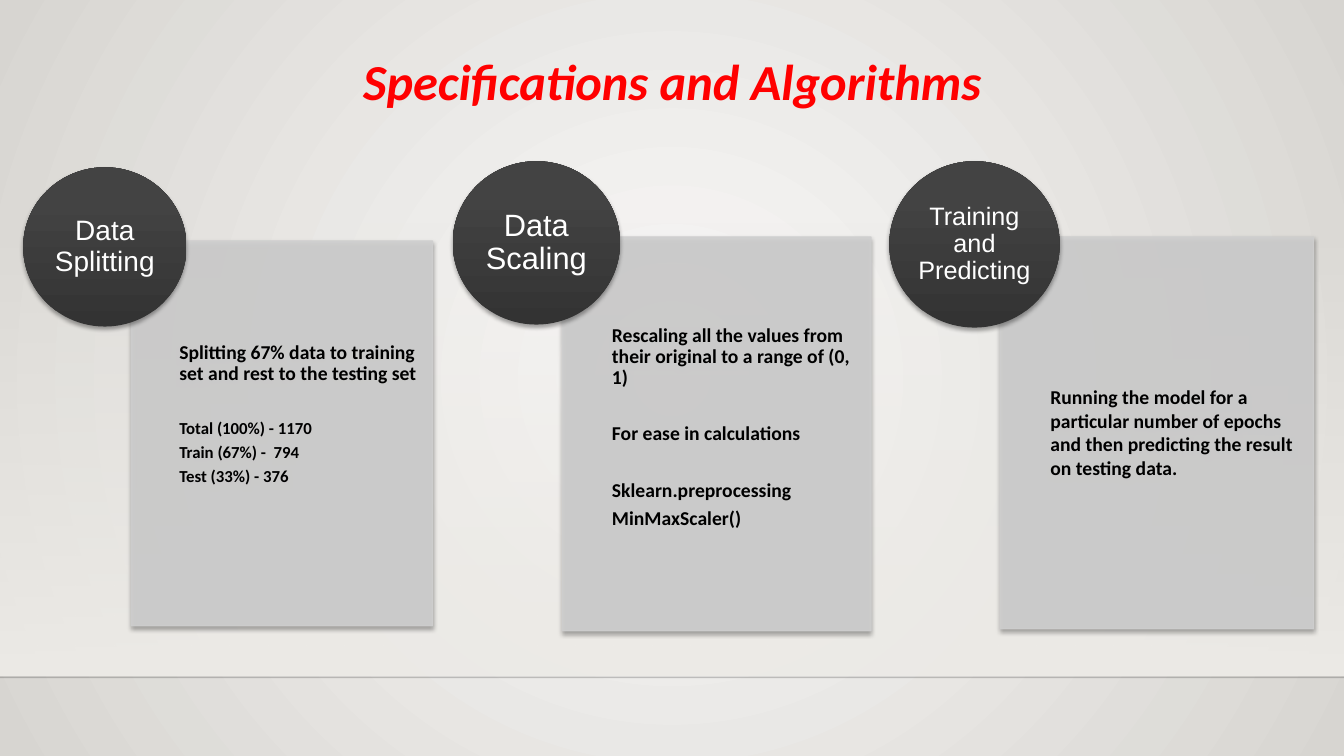
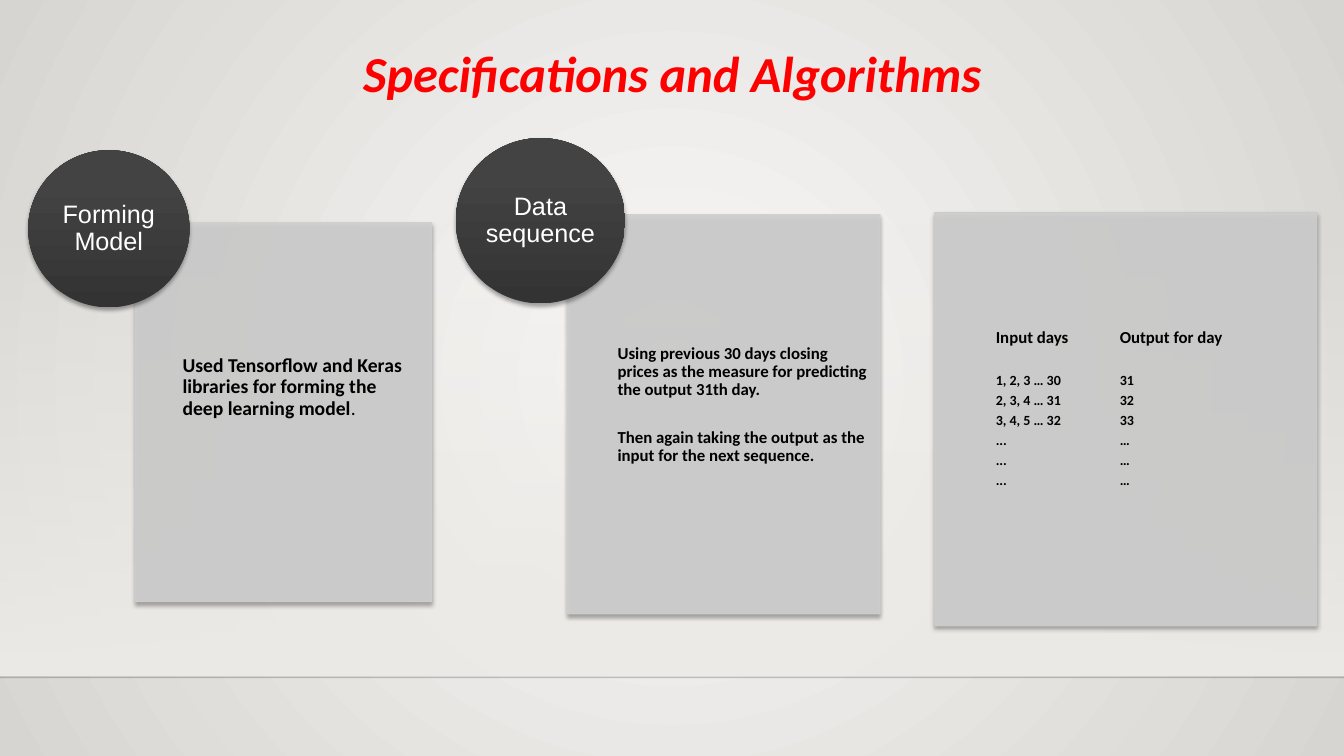
from dataclasses import dataclass

from pptx import Presentation
from pptx.dml.color import RGBColor
from pptx.enum.shapes import MSO_CONNECTOR, MSO_SHAPE
from pptx.enum.text import MSO_ANCHOR, PP_ALIGN
from pptx.oxml import parse_xml
from pptx.oxml.ns import nsdecls, qn
from pptx.util import Inches, Pt

RECTANGLE = MSO_SHAPE.RECTANGLE
OVAL = MSO_SHAPE.OVAL
STRAIGHT = MSO_CONNECTOR.STRAIGHT
TOP, MIDDLE = MSO_ANCHOR.TOP, MSO_ANCHOR.MIDDLE
LEFT, CENTER = PP_ALIGN.LEFT, PP_ALIGN.CENTER

RED = RGBColor(0xFF, 0x00, 0x00)
BLACK = RGBColor(0x00, 0x00, 0x00)
HORIZON = RGBColor(0x00, 0x00, 0x01)
WHITE = RGBColor(0xFF, 0xFF, 0xFF)
PANEL_GRAY = RGBColor(0xCF, 0xCF, 0xCF)
EDGE_GRAY = RGBColor(0xCA, 0xCA, 0xCA)
BADGE_DARK = RGBColor(0x33, 0x33, 0x33)
BADGE_LIGHT = RGBColor(0x43, 0x43, 0x43)
BACKDROP_LIGHT = RGBColor(0xFA, 0xF9, 0xF8)
BACKDROP_DARK = RGBColor(0xD7, 0xD5, 0xD1)
BAND = RGBColor(0xED, 0xEB, 0xE7)

BODY_FONT, BADGE_FONT = "Calibri", "Arial"
SLIDE_WIDTH, SLIDE_HEIGHT = 13.33, 7.5
TITLE = "Specifications and Algorithms"
TEXT_INDENT = 0.16
LINE_SPACING, AFTER_RATIO = 0.9, 0.35

CIRCULAR = '<a:path path="circle"><a:fillToRect l="50000" t="50000" r="50000" b="50000"/></a:path>'
DOWNWARD = '<a:lin ang="5400000" scaled="0"/>'
UPWARD = '<a:lin ang="16200000" scaled="0"/>'


@dataclass(frozen=True)
class Box:
    left: float
    top: float
    width: float
    height: float

    def lengths(self):
        return [Inches(value) for value in (self.left, self.top, self.width, self.height)]


@dataclass(frozen=True)
class Span:
    text: str
    size: float
    bold: bool = True


@dataclass(frozen=True)
class Line:
    spans: tuple[Span, ...]
    before: float = 0


@dataclass(frozen=True)
class Badge:
    box: Box
    text: str
    size: float


@dataclass(frozen=True)
class Panel:
    box: Box
    text_top: float
    lines: tuple[Line, ...]
    badge: Badge | None = None
    spacing: float = LINE_SPACING
    edge: RGBColor = PANEL_GRAY
    tab_stop: float = 0


@dataclass(frozen=True)
class Page:
    title_top: float
    panels: tuple[Panel, ...]


def line(text: str, size: float, before: float = 0) -> Line:
    return Line((Span(text, size),), before)


def day_row(days: str, output: str, size: float = 10, before: float = 0) -> Line:
    return line(f"{days}\t{output}", size, before)


PAGES = (
    Page(0.52, (
        Panel(Box(1.3, 2.39, 2.99, 3.82), 1.01, (
            line("Splitting 67% data to training set and rest to the testing set", 14),
            line("Total (100%) - 1170", 12, 20),
            line("Train (67%) -  794", 12),
            line("Test (33%) - 376", 12),
        ), Badge(Box(0.23, 1.66, 1.62, 1.58), "Data Splitting", 20)),
        Panel(Box(5.58, 2.35, 3.06, 3.91), 0.88, (
            line("Rescaling all the values from their original to a range of (0, 1)", 14),
            line("For ease in calculations", 14, 20),
            line("Sklearn.preprocessing", 14, 20),
            line("MinMaxScaler()", 14),
        ), Badge(Box(4.49, 1.6, 1.66, 1.62), "Data Scaling", 22)),
        Panel(Box(9.92, 2.35, 3.11, 3.89), 1.47, (
            line("Running the model for a particular number of epochs "
                 "and then predicting the result on testing data.", 14),
        ), Badge(Box(8.82, 1.6, 1.69, 1.65), "Training and Predicting", 18), spacing=1.0),
    )),
    Page(0.44, (
        Panel(Box(1.34, 2.21, 2.94, 3.76), 1.32, (
            Line((
                Span("Used Tensorflow and Keras libraries for forming the deep learning model", 14),
                Span(".", 14, False),
            )),
        ), Badge(Box(0.28, 1.49, 1.6, 1.56), "Forming Model", 18)),
        Panel(Box(5.63, 2.13, 3.1, 3.96), 1.29, (
            line("Using previous 30 days closing prices as the measure "
                 "for predicting the output 31th day.", 12),
            line("Then again taking the output as the input for the next sequence.", 12, 17),
        ), Badge(Box(4.52, 1.37, 1.68, 1.64), "Data sequence", 18)),
        Panel(Box(9.27, 2.11, 3.79, 4.1), 1.15, (
            day_row("Input days", "Output for day", 12),
            day_row("1, 2, 3 … 30", "31", before=15),
            day_row("2, 3, 4 … 31", "32"),
            day_row("3, 4, 5 … 32", "33"),
            *[day_row("...", "…")] * 3,
        ), edge=EDGE_GRAY, tab_stop=1.23),
    )),
)


def set_gradient(fill, element, stops: list[tuple[int, RGBColor, int]], direction: str) -> None:
    fill.gradient()
    gradient = element.find(f".//{qn('a:gradFill')}")
    stop_xml = "".join(
        f'<a:gs pos="{position * 1000}"><a:srgbClr val="{color}">'
        f'<a:alpha val="{opacity * 1000}"/></a:srgbClr></a:gs>'
        for position, color, opacity in stops
    )
    gradient.getparent().replace(gradient, parse_xml(
        f'<a:gradFill {nsdecls("a")} rotWithShape="1"><a:gsLst>{stop_xml}</a:gsLst>{direction}</a:gradFill>'
    ))


def set_opacity(shape, percent: int) -> None:
    for color in shape.element.spPr.iter(qn("a:srgbClr")):
        color.append(parse_xml(f'<a:alpha {nsdecls("a")} val="{percent * 1000}"/>'))


def add_shadow(shape) -> None:
    shape.shadow.inherit = False
    shape.element.spPr.find(qn("a:effectLst")).append(parse_xml(
        f'<a:outerShdw {nsdecls("a")} blurRad="{Pt(3.1)}" dist="{Pt(1.8)}" dir="5400000" '
        'algn="t" rotWithShape="0"><a:srgbClr val="000000"><a:alpha val="35000"/></a:srgbClr></a:outerShdw>'
    ))


def set_frame(shape, anchor, margins: tuple[float, float, float, float]):
    frame = shape.text_frame
    frame.word_wrap = True
    frame.vertical_anchor = anchor
    frame.margin_left, frame.margin_top, frame.margin_right, frame.margin_bottom = map(Inches, margins)
    return frame


def write_lines(frame, lines: tuple[Line, ...], font: str, color: RGBColor, alignment,
                spacing: float = LINE_SPACING, italic: bool = False) -> None:
    for index, content in enumerate(lines):
        paragraph = frame.add_paragraph() if index else frame.paragraphs[0]
        paragraph.alignment = alignment
        paragraph.line_spacing = spacing
        paragraph.space_before = Pt(content.before)
        paragraph.space_after = Pt(AFTER_RATIO * content.spans[0].size)
        for span in content.spans:
            run = paragraph.add_run()
            run.text = span.text
            run.font.name = font
            run.font.size = Pt(span.size)
            run.font.bold = span.bold
            run.font.italic = italic
            run.font.color.rgb = color


def add_band(slide) -> None:
    band = slide.shapes.add_shape(RECTANGLE, *Box(0, 2.2, SLIDE_WIDTH, 4.5).lengths())
    band.shadow.inherit = False
    band.line.fill.background()
    set_gradient(band.fill, band.element, [(0, BAND, 0), (100, BAND, 100)], DOWNWARD)
    horizon = slide.shapes.add_connector(STRAIGHT, 0, Inches(6.72), Inches(SLIDE_WIDTH), Inches(6.72))
    horizon.line.color.rgb = HORIZON
    horizon.line.width = Pt(1)
    set_opacity(horizon, 20)
    horizon.element.spPr.append(parse_xml(f'<a:effectLst {nsdecls("a")}/>'))


def add_title(slide, top: float) -> None:
    title = slide.shapes.add_textbox(*Box(2.17, top, 9, 0.9).lengths())
    frame = set_frame(title, TOP, (0.1, 0.05, 0.1, 0.05))
    write_lines(frame, (line(TITLE, 36),), BODY_FONT, RED, CENTER, italic=True)


def add_badge(slide, badge: Badge) -> None:
    circle = slide.shapes.add_shape(OVAL, *badge.box.lengths())
    circle.line.fill.background()
    set_gradient(circle.fill, circle.element, [(0, BADGE_DARK, 100), (80, BADGE_LIGHT, 100)], UPWARD)
    add_shadow(circle)
    label = Line((Span(badge.text, badge.size, False),))
    write_lines(set_frame(circle, MIDDLE, (0, 0, 0, 0)), (label,), BADGE_FONT, WHITE, CENTER)


def add_panel(slide, panel: Panel) -> None:
    card = slide.shapes.add_shape(RECTANGLE, *panel.box.lengths())
    card.fill.solid()
    card.fill.fore_color.rgb = PANEL_GRAY
    card.line.color.rgb = panel.edge
    card.line.width = Pt(0.75)
    set_opacity(card, 90)
    add_shadow(card)
    frame = set_frame(card, TOP, (TEXT_INDENT * panel.box.width, panel.text_top, 0.1, 0.1))
    write_lines(frame, panel.lines, BODY_FONT, BLACK, LEFT, panel.spacing)
    if panel.tab_stop:
        for properties in card.element.iter(qn("a:pPr")):
            properties.append(parse_xml(
                f'<a:tabLst {nsdecls("a")}><a:tab pos="{Inches(panel.tab_stop)}" algn="l"/></a:tabLst>'
            ))
    if panel.badge:
        add_badge(slide, panel.badge)


def main() -> None:
    presentation = Presentation()
    presentation.slide_width = Inches(SLIDE_WIDTH)
    presentation.slide_height = Inches(SLIDE_HEIGHT)
    master = presentation.slide_master
    set_gradient(master.background.fill, master.element,
                 [(0, BACKDROP_LIGHT, 100), (100, BACKDROP_DARK, 100)], CIRCULAR)
    for page in PAGES:
        slide = presentation.slides.add_slide(presentation.slide_layouts[6])
        add_band(slide)
        add_title(slide, page.title_top)
        for panel in page.panels:
            add_panel(slide, panel)
    presentation.save("out.pptx")


if __name__ == "__main__":
    main()
